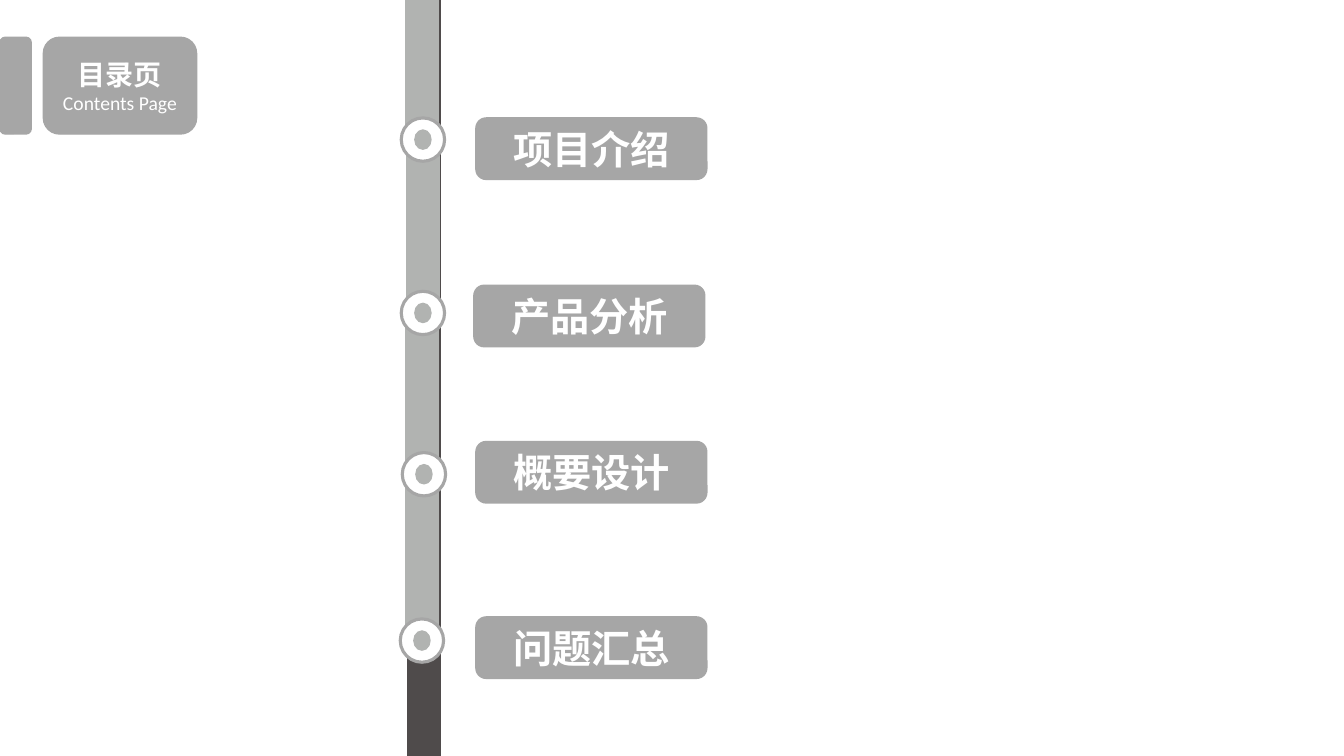
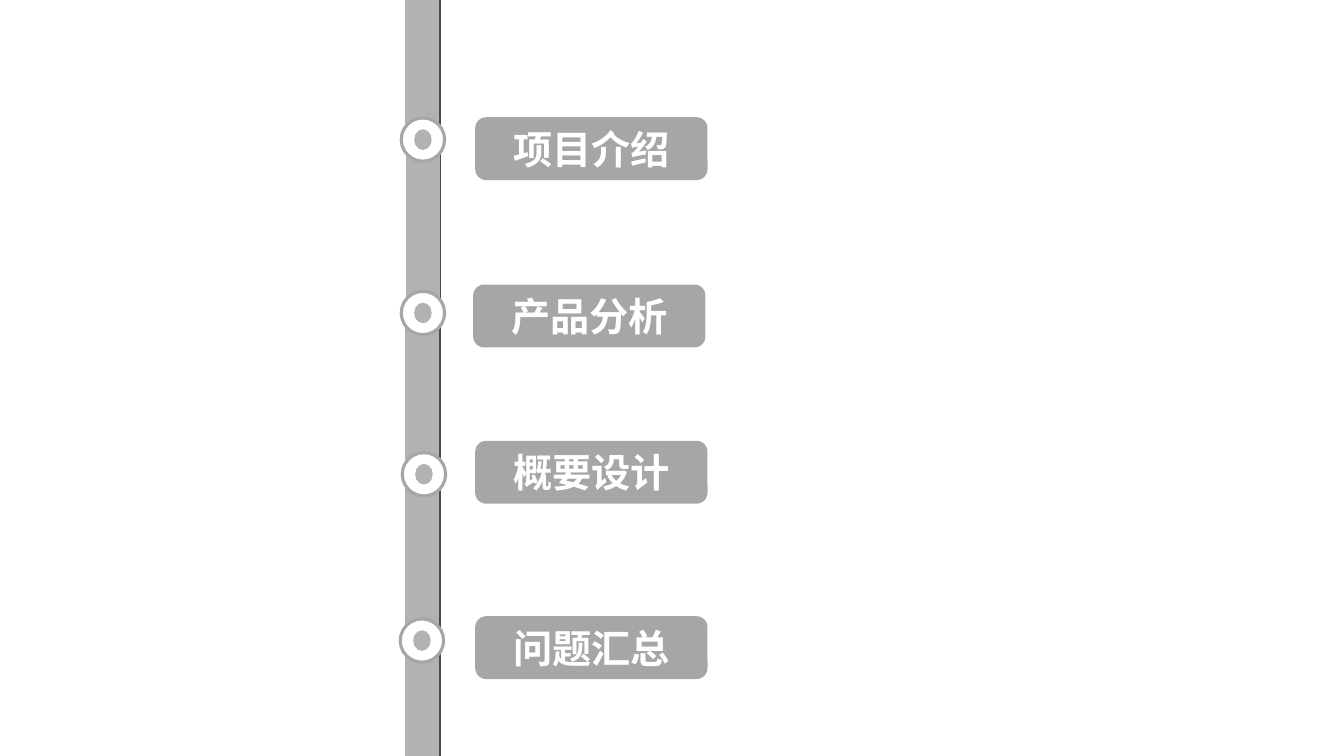
"""Build two contents slides: a vertical timeline with four labelled stops."""
import pptx
import pptx.dml.color
import pptx.enum.shapes
import pptx.enum.text
import pptx.oxml.ns
import pptx.util
from lxml import etree

Inches = pptx.util.Inches
Pt = pptx.util.Pt
RGBColor = pptx.dml.color.RGBColor
SHAPE = pptx.enum.shapes.MSO_SHAPE

WHITE = RGBColor(0xFF, 0xFF, 0xFF)
GREY = RGBColor(0xA6, 0xA6, 0xA6)
TRACK_GREY = RGBColor(0xB1, 0xB3, 0xB1)
DARK = RGBColor(0x4F, 0x4B, 0x4B)
CHINESE_FONT = "Noto Sans CJK SC"
LATIN_FONT = "Calibri"

TRACK_WIDTH = 0.33
RING_SIZE = 0.43
DOT_WIDTH, DOT_HEIGHT = 0.16, 0.19
LABEL_WIDTH, LABEL_HEIGHT = 2.29, 0.61
TAB_TOP, TAB_HEIGHT = 0.37, 0.96

TRACK_SEGMENTS = [(4.02, 0, 1.33), (4.03, 1.54, 1.42), (4.02, 3.24, 1.42), (4.02, 4.83, 1.42)]
LAST_SEGMENT = (4.02, 6.17, 1.33)
STOPS = [
    ("项目介绍", 3.98, 1.17, 4.72, 1.17),
    ("产品分析", 3.98, 2.89, 4.70, 2.83),
    ("概要设计", 3.99, 4.49, 4.72, 4.38),
    ("问题汇总", 3.97, 6.14, 4.72, 6.12),
]


def add_block(slide, preset, left, top, width, height, fill, outline=None, weight=1):
    block = slide.shapes.add_shape(preset, Inches(left), Inches(top), Inches(width), Inches(height))
    block.shadow.inherit = False
    block.fill.solid()
    block.fill.fore_color.rgb = fill
    block.line.color.rgb = outline or fill
    block.line.width = Pt(weight)
    return block


def write_line(paragraph, text, size, font_name, bold):
    paragraph.alignment = pptx.enum.text.PP_ALIGN.CENTER
    run = paragraph.add_run()
    run.text = text
    run.font.size = Pt(size)
    run.font.bold = bold
    run.font.color.rgb = WHITE
    run.font.name = font_name
    east_asian = etree.SubElement(run.font._element, pptx.oxml.ns.qn("a:ea"))
    east_asian.set("typeface", font_name)


deck = pptx.Presentation()
deck.slide_width = Inches(13.33)
deck.slide_height = Inches(7.5)

for has_heading, segments in [(True, TRACK_SEGMENTS), (False, TRACK_SEGMENTS + [LAST_SEGMENT])]:
    slide = deck.slides.add_slide(deck.slide_layouts[6])
    add_block(slide, SHAPE.RECTANGLE, 4.04, 0, TRACK_WIDTH, 7.5, DARK)
    for left, top, height in segments:
        add_block(slide, SHAPE.RECTANGLE, left, top, TRACK_WIDTH, height, TRACK_GREY)

    if has_heading:
        add_block(slide, SHAPE.ROUNDED_RECTANGLE, 0, TAB_TOP, 0.31, TAB_HEIGHT, GREY)
        heading = add_block(slide, SHAPE.ROUNDED_RECTANGLE, 0.43, TAB_TOP, 1.52, TAB_HEIGHT, GREY)
        write_line(heading.text_frame.paragraphs[0], "目录页", 20, CHINESE_FONT, True)
        write_line(heading.text_frame.add_paragraph(), "Contents Page", 14, LATIN_FONT, False)

    for topic, ring_left, ring_top, label_left, label_top in STOPS:
        add_block(slide, SHAPE.OVAL, ring_left, ring_top, RING_SIZE, RING_SIZE, WHITE, GREY, 2.25)
        dot_left = ring_left + (RING_SIZE - DOT_WIDTH) / 2
        dot_top = ring_top + (RING_SIZE - DOT_HEIGHT) / 2
        add_block(slide, SHAPE.FLOWCHART_CONNECTOR, dot_left, dot_top, DOT_WIDTH, DOT_HEIGHT, TRACK_GREY)
        label = add_block(slide, SHAPE.ROUNDED_RECTANGLE, label_left, label_top, LABEL_WIDTH, LABEL_HEIGHT, GREY)
        write_line(label.text_frame.paragraphs[0], topic, 28, CHINESE_FONT, True)

deck.save("out.pptx")
